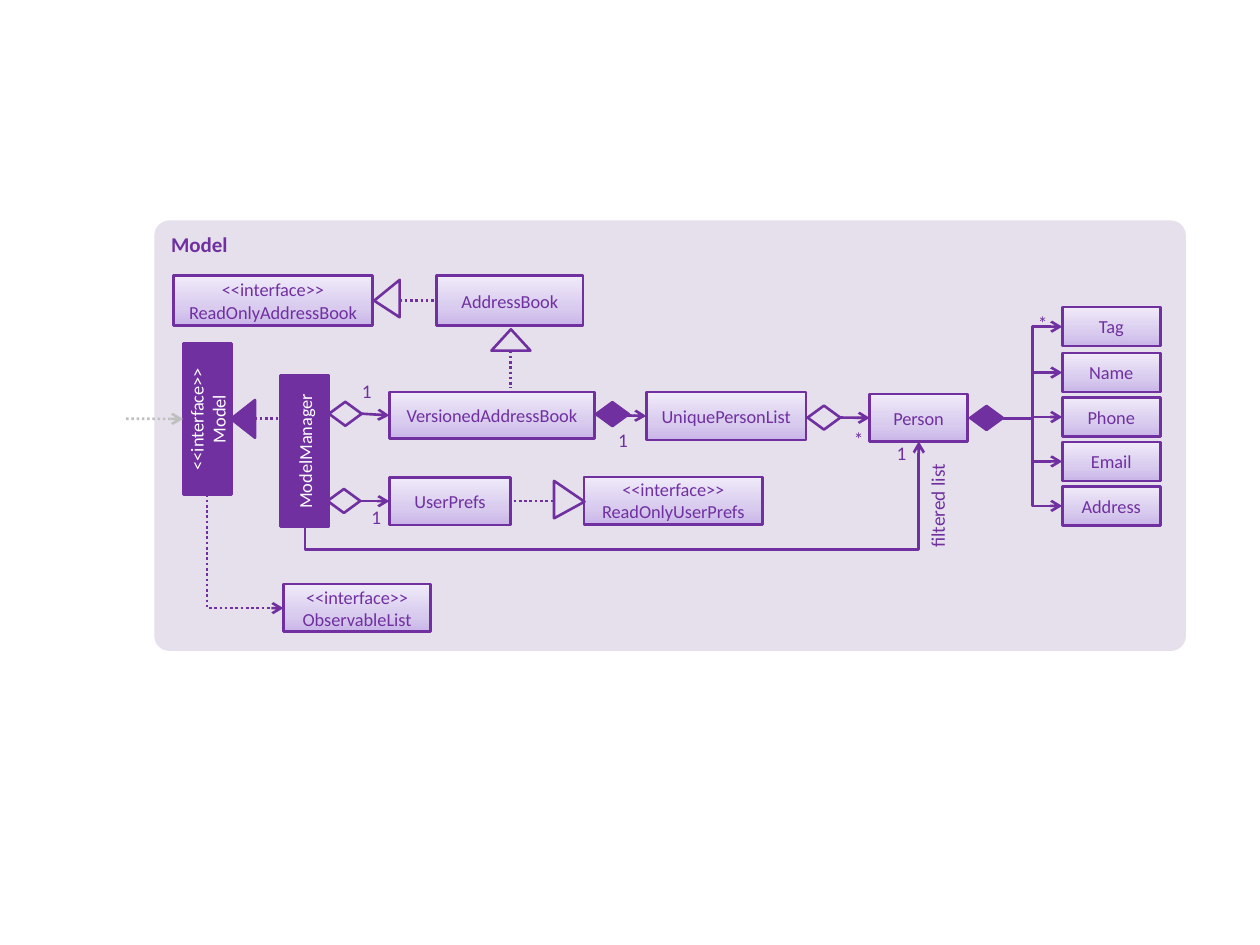
import copy
import math

import lxml.etree
import pptx
import pptx.dml.color
import pptx.enum.dml
import pptx.enum.shapes
import pptx.enum.text
import pptx.oxml.ns
import pptx.util

COLORS = {
    "purple": "7030A0",
    "panel": "E6E0EC",
    "white": "FFFFFF",
    "gray": "BFBFBF",
}
BOX_GRADIENT = ((0, "C9B5E8"), (0.35, "D8CBEE"), (1, "F0EAF9"))
FONT = "Calibri"
KIND = pptx.enum.shapes.MSO_SHAPE
ALIGN = pptx.enum.text.PP_ALIGN
ANCHOR = pptx.enum.text.MSO_ANCHOR
QN = pptx.oxml.ns.qn


def rgb(name):
    """Return the named colour."""
    return pptx.dml.color.RGBColor.from_string(COLORS[name])


def points(*lengths):
    """Turn numbers into lengths in points."""
    return [pptx.util.Pt(length) for length in lengths]


def write(shape, text, size, color="purple", align=ALIGN.CENTER, bold=None):
    """Fill a shape with uniformly formatted paragraphs."""
    frame = shape.text_frame
    frame.word_wrap = True
    frame.text = text
    for paragraph in frame.paragraphs:
        paragraph.alignment = align
        font = paragraph.font
        font.name, font.size, font.bold = FONT, pptx.util.Pt(size), bold
        font.color.rgb = rgb(color)


def add_figure(page, kind, frame, fill=None, outline="purple", rotation=0, adjust=None):
    """Add a preset shape with a plain fill, or none."""
    shape = page.shapes.add_shape(kind, *points(*frame))
    shape.shadow.inherit = False
    shape.rotation = rotation
    if adjust is not None:
        shape.adjustments[0] = adjust
    if fill:
        shape.fill.solid()
        shape.fill.fore_color.rgb = rgb(fill)
    else:
        shape.fill.background()
    if outline:
        shape.line.color.rgb = rgb(outline)
        shape.line.width = pptx.util.Pt(1.5)
    else:
        shape.line.fill.background()
    return shape


def add_class(page, text, frame):
    """Add a class box with the lilac gradient."""
    box = add_figure(page, KIND.RECTANGLE, frame)
    box.fill.gradient()
    box.fill.gradient_angle = 90
    stop_list = box.fill._xPr.find(".//" + QN("a:gsLst"))
    stop_list.append(copy.deepcopy(stop_list[-1]))
    for stop, (position, color) in zip(box.fill.gradient_stops, BOX_GRADIENT):
        stop.position = position
        stop.color.rgb = pptx.dml.color.RGBColor.from_string(color)
    write(box, text, 10.5)


def add_component(page, text, frame):
    """Add a solid upright box with white text."""
    box = add_figure(page, KIND.RECTANGLE, frame, "purple", rotation=270)
    write(box, text, 10.5, "white")


def add_diamond(page, left, top, fill=None):
    """Add an aggregation (hollow) or composition (filled) diamond."""
    add_figure(page, KIND.FLOWCHART_DECISION, (left, top, 18.7, 13.7), fill)


def add_label(page, text, left, top, width=15.1):
    """Add a multiplicity label."""
    label = page.shapes.add_textbox(*points(left, top, width, 14.4))
    frame = label.text_frame
    frame.margin_left = frame.margin_right = frame.margin_top = frame.margin_bottom = 0
    write(label, text, 11)


def add_link(page, start, end, arrow=True, dotted=False, color="purple",
             preset="line", rotation=0, adjust=None):
    """Add a connector; rotation turns its frame while its ends stay in place."""
    center = [(a + b) / 2 for a, b in zip(start, end)]
    cosine, sine = math.cos(math.radians(rotation)), math.sin(math.radians(rotation))
    ends = []
    for x, y in (start, end):
        across, down = x - center[0], y - center[1]
        ends += [center[0] + across * cosine + down * sine,
                 center[1] - across * sine + down * cosine]
    link = page.shapes.add_connector(
        pptx.enum.shapes.MSO_CONNECTOR.STRAIGHT, *points(*ends))
    link.line.color.rgb = rgb(color)
    link.line.width = pptx.util.Pt(1.5)
    if dotted:
        link.line.dash_style = pptx.enum.dml.MSO_LINE.ROUND_DOT
    properties = link._element.spPr
    properties.find(QN("a:xfrm")).set("rot", str(rotation * 60000))
    geometry = properties.find(QN("a:prstGeom"))
    geometry.set("prst", preset)
    if adjust is not None:
        guide = lxml.etree.SubElement(geometry.find(QN("a:avLst")), QN("a:gd"))
        guide.set("name", "adj1")
        guide.set("fmla", f"val {round(adjust * 100000)}")
    if arrow:
        head = lxml.etree.SubElement(properties.find(QN("a:ln")), QN("a:tailEnd"))
        head.set("type", "arrow")
    lxml.etree.SubElement(properties, QN("a:effectLst"))


def add_panel(page):
    """Add the titled package background."""
    panel = add_figure(page, KIND.ROUNDED_RECTANGLE, (88.2, 126, 589.5, 246),
                       "panel", None, adjust=0.035)
    panel.text_frame.vertical_anchor = ANCHOR.TOP
    write(panel, "Model", 12, align=ALIGN.LEFT, bold=True)


def add_person_fields(page):
    """Add the parts of a person, each joined to the same diamond."""
    tops = [175.5] + [201.7 + 25.4 * row for row in range(4)]
    for name, top in zip(("Tag", "Name", "Phone", "Email", "Address"), tops):
        add_class(page, name, (607, top, 56, 22.3))
        add_link(page, (573, 239), (607, top + 11.2), preset="bentConnector3")


def add_filter_label(page):
    """Add the upright name of the filtered list link."""
    label = page.shapes.add_textbox(*points(501.1, 282.2, 69.1, 20.6))
    label.rotation = 270
    write(label, "filtered list", 11, align=ALIGN.RIGHT)
    label.text_frame.auto_size = pptx.enum.text.MSO_AUTO_SIZE.SHAPE_TO_FIT_TEXT


def main():
    """Build the class diagram."""
    deck = pptx.Presentation()
    deck.slide_width, deck.slide_height = points(720, 540)
    page = deck.slides.add_slide(deck.slide_layouts[6])
    add_panel(page)

    add_component(page, "ModelManager", (131, 244, 86.4, 27.6))
    add_component(page, "<<interface>>\nModel", (75.3, 225.6, 86.4, 27.6))
    for text, frame in (
        ("<<interface>>\vReadOnlyAddressBook", (99, 157.5, 114, 28.6)),
        ("AddressBook", (249.5, 157.5, 83.7, 28.6)),
        ("VersionedAddressBook", (222.5, 224, 117.3, 26.5)),
        ("UniquePersonList", (369.3, 224, 91.4, 27.5)),
        ("Person", (497, 225.2, 55.8, 27.2)),
        ("UserPrefs", (222.5, 272.8, 69.3, 27.2)),
        ("<<interface>>\nReadOnlyUserPrefs", (333.8, 272.5, 101.9, 27.2)),
        ("<<interface>>\vObservableList", (162, 333.8, 84.2, 27.2)),
    ):
        add_class(page, text, frame)

    for frame, rotation, fill, apex in (
        ((128.1, 232.5, 21.6, 13.7), 270, "purple", 0.5),
        ((280.8, 188.2, 22.3, 12.2), 0, "panel", 0.5),
        ((210.4, 163.3, 21.4, 14.6), 270, "panel", 0.445),
        ((314.6, 276.8, 21.4, 17.4), 90, "panel", 0.555),
    ):
        add_figure(page, KIND.ISOSCELES_TRIANGLE, frame, fill,
                   rotation=rotation, adjust=apex)

    for left, top, fill in (
        (187.2, 279.4, None), (188, 229.6, None), (461.5, 231.8, None),
        (340.6, 229.8, "purple"), (554.4, 232, "purple"),
    ):
        add_diamond(page, left, top, fill)

    add_person_fields(page)
    for start, end in (
        ((205.2, 286.4), (222.5, 286.4)),
        ((206.6, 236.4), (222.5, 237.4)),
        ((340.6, 237), (369.3, 237.7)),
        ((480.2, 238.6), (497, 238.8)),
    ):
        add_link(page, start, end)
    for start, end in (
        ((145.5, 239.3), (162.7, 239.3)),
        ((291.9, 200.3), (291.9, 222)),
        ((228.3, 171.6), (249.5, 171.6)),
        ((316.1, 286.4), (291.8, 286.4)),
    ):
        add_link(page, start, end, arrow=False, dotted=True)
    add_link(page, (72, 239.3), (104.6, 239.4), dotted=True, color="gray")
    add_link(page, (118.4, 282.5), (162, 347.5), dotted=True,
             preset="bentConnector2", rotation=270)
    add_link(page, (174.2, 301), (525, 252.3), preset="bentConnector3",
             rotation=90, adjust=-0.267)

    add_filter_label(page)
    for text, left, top in (
        ("1", 348.5, 244.8), ("*", 483.1, 244.1), ("1", 202, 216.7),
        ("1", 207.4, 288.7), ("1", 507.6, 252), ("*", 588.2, 177.8),
    ):
        add_label(page, text, left, top)

    deck.save("out.pptx")


main()
